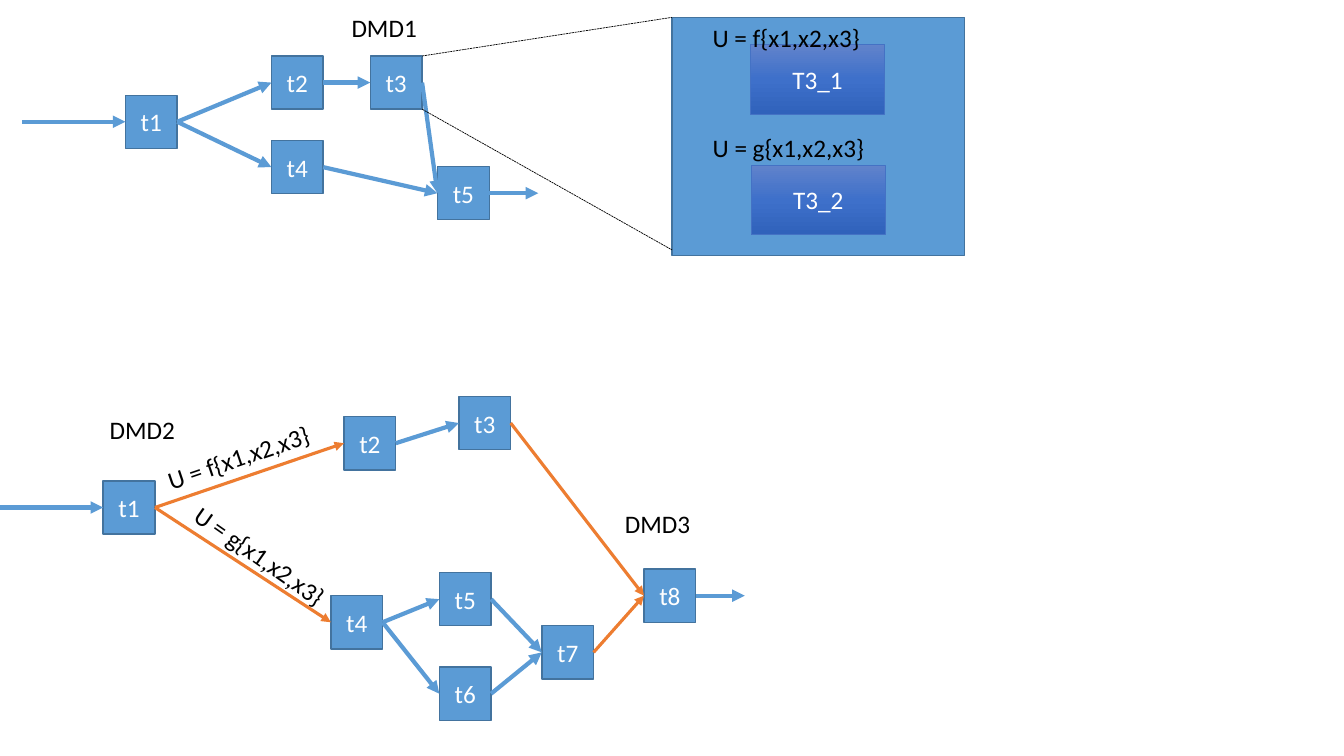
from copy import deepcopy
from pptx import Presentation
from pptx.dml.color import RGBColor
from pptx.enum import dml, shapes, text
from pptx.oxml import ns, xmlchemy
from pptx.util import Pt

BLUE, EDGE, ORANGE = "5B9BD5", "43739E", "ED7D31"
BLACK, WHITE = "000000", "FFFFFF"
LEFT, RIGHT = 1, 3  # connection sites of a rectangle


def rgb(code):
    return RGBColor.from_string(code)


def write(frame, words, size=18, color=BLACK, align="LEFT", anchor="TOP", wrap=True):
    frame.word_wrap = wrap
    frame.vertical_anchor = getattr(text.MSO_ANCHOR, anchor)
    para = frame.paragraphs[0]
    para.alignment = getattr(text.PP_ALIGN, align)
    run = para.add_run()
    run.text = words
    run.font.name = "Calibri"
    run.font.size = Pt(size)
    run.font.color.rgb = rgb(color)


class Board:
    """Holds the style and the slide that is drawn on."""

    node_w, node_h = 37, 38
    stub = 35

    def __init__(self, slide):
        self.slide = slide

    def box(self, x, y, w, h, words="", fill=BLUE, edge=EDGE, weight=1):
        box = self.slide.shapes.add_shape(
            shapes.MSO_SHAPE.RECTANGLE, Pt(x), Pt(y), Pt(w), Pt(h))
        box.shadow.inherit = False
        if isinstance(fill, str):
            box.fill.solid()
            box.fill.fore_color.rgb = rgb(fill)
        else:
            self.blend(box, fill)
        box.line.color.rgb = rgb(edge)
        box.line.width = Pt(weight)
        if words:
            write(box.text_frame, words, color=WHITE, align="CENTER", anchor="MIDDLE")
        return box

    def blend(self, box, colors):
        """Fill with three evenly spaced colours, from top to bottom."""
        box.fill.gradient()
        box.fill.gradient_angle = 270
        first = box._element.spPr.find(".//" + ns.qn("a:gs"))
        first.addnext(deepcopy(first))
        for i, (stop, color) in enumerate(zip(box.fill.gradient_stops, colors)):
            stop.position = i / 2
            stop.color.rgb = rgb(color)

    def nodes(self, spots):
        return {name: self.box(x, y, self.node_w, self.node_h, name)
                for name, (x, y) in spots.items()}

    def line(self, x1, y1, x2, y2, color=BLACK, weight=0.5, head=False, dash=False):
        line = self.slide.shapes.add_connector(
            shapes.MSO_CONNECTOR.STRAIGHT, Pt(x1), Pt(y1), Pt(x2), Pt(y2))
        line.line.color.rgb = rgb(color)
        line.line.width = Pt(weight)
        if dash:
            line.line.dash_style = dml.MSO_LINE.SQUARE_DOT
        if head:
            tip = xmlchemy.OxmlElement("a:tailEnd")
            tip.set("type", "triangle")
            line.line._get_or_add_ln().append(tip)
        line._element.spPr.append(xmlchemy.OxmlElement("a:effectLst"))
        return line

    def arrow(self, start, end, color=BLUE, weight=3):
        """Join the right side of one node to the left side of another."""
        line = self.line(0, 0, 0, 0, color, weight, head=True)
        line.begin_connect(start, RIGHT)
        line.end_connect(end, LEFT)

    def enter(self, node, x):
        y = node.top.pt + node.height.pt / 2
        line = self.line(x, y, node.left.pt, y, BLUE, 3, head=True)
        line.end_connect(node, LEFT)

    def leave(self, node):
        x = node.left.pt + node.width.pt
        y = node.top.pt + node.height.pt / 2
        line = self.line(x, y, x + self.stub, y, BLUE, 3, head=True)
        line.begin_connect(node, RIGHT)

    def label(self, x, y, w, words, turn=0, wrap=True):
        box = self.slide.shapes.add_textbox(Pt(x), Pt(y), Pt(w), Pt(29))
        box.rotation = turn
        write(box.text_frame, words, wrap=wrap)


def first_graph(board):
    node = board.nodes({"t2": (193.9, 40), "t4": (193.9, 100.4), "t1": (89.6, 68),
                        "t3": (264.5, 40), "t5": (312.5, 119)})
    for a, b in ["t1 t2".split(), "t2 t3".split(), "t3 t5".split(),
                 "t4 t5".split(), "t1 t4".split()]:
        board.arrow(node[a], node[b])
    board.enter(node["t1"], 16)
    board.leave(node["t5"])

    board.box(480, 12.4, 209, 170)
    board.line(301.5, 40, 480, 12.4, dash=True)
    board.line(301.5, 78, 480, 178.5, dash=True)
    blend = ["6183CB", "3E70CA", "3062BB"]
    for name, x, y in [("T3_1", 536, 31.7), ("T3_2", 536.5, 117.8)]:
        board.box(x, y, 96, 50, name, blend, "4472C4", 0.5)
    board.label(502, 12.4, 130, "U = f{x1,x2,x3}")
    board.label(502, 91, 145, "U = g{x1,x2,x3}")


def second_graph(board):
    node = board.nodes({"t2": (245.7, 297.6), "t4": (236.3, 425.5), "t1": (73.7, 343.5),
                        "t3": (327.8, 283.2), "t8": (460, 406.5), "t5": (313.8, 409),
                        "t6": (313.8, 476.5), "t7": (387, 447)})
    for a, b in [("t2", "t3"), ("t4", "t5"), ("t4", "t6"), ("t5", "t7"), ("t6", "t7")]:
        board.arrow(node[a], node[b])
    for a, b in [("t1", "t2"), ("t3", "t8"), ("t1", "t4"), ("t7", "t8")]:
        board.arrow(node[a], node[b], ORANGE, 2.25)
    board.enter(node["t1"], 0)
    board.leave(node["t8"])
    board.label(110.2, 310.5, 130, "U = f{x1,x2,x3}", turn=341.3)
    board.label(122.4, 388.8, 145, "U = g{x1,x2,x3}", turn=35)


def main():
    deck = Presentation()
    deck.slide_width, deck.slide_height = Pt(960), Pt(540)
    board = Board(deck.slides.add_slide(deck.slide_layouts[6]))
    first_graph(board)
    second_graph(board)
    for name, x, y in [("DMD1", 244, 5), ("DMD2", 71.3, 292.5), ("DMD3", 439.2, 359.5)]:
        board.label(x, y, 62, name, wrap=False)
    deck.save("out.pptx")


if __name__ == "__main__":
    main()
